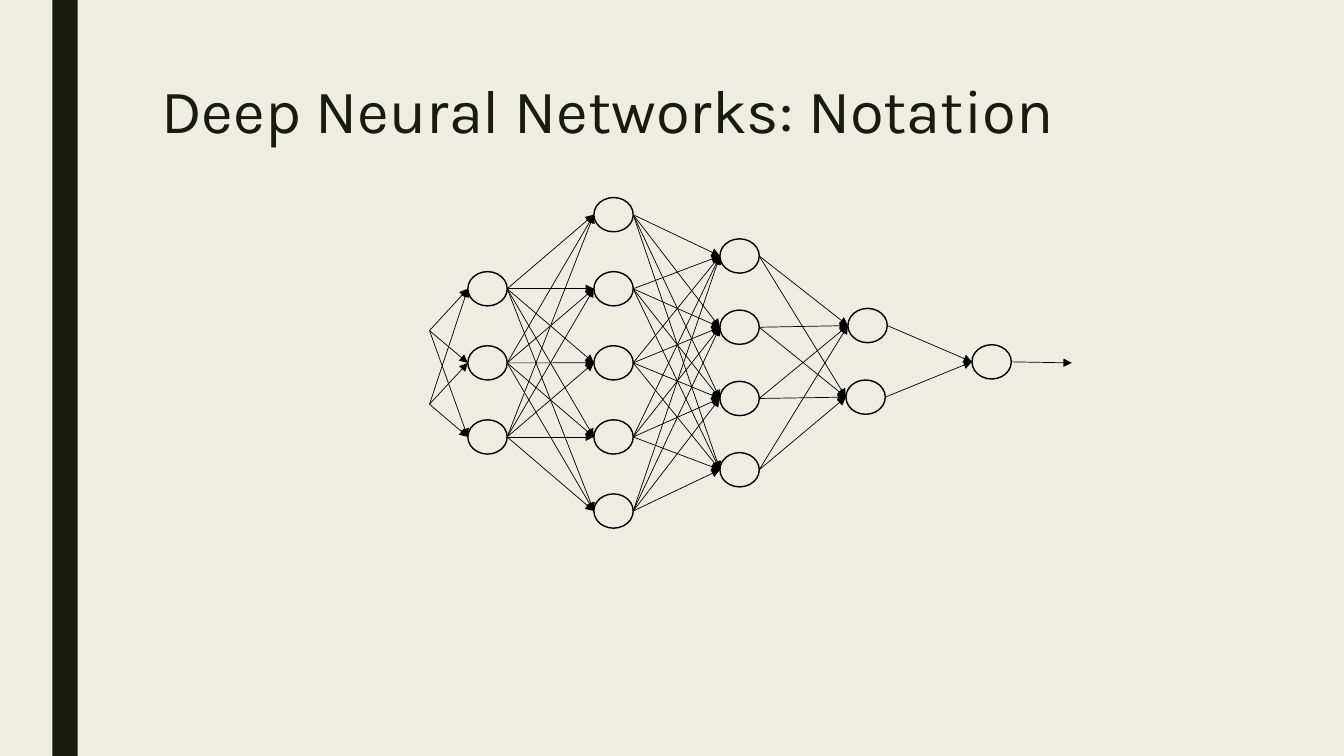
from itertools import pairwise, product

from lxml import etree
from pptx import Presentation
from pptx.dml.color import RGBColor
from pptx.enum.shapes import MSO_CONNECTOR, MSO_SHAPE
from pptx.enum.text import MSO_ANCHOR, MSO_AUTO_SIZE, PP_ALIGN
from pptx.oxml.ns import qn
from pptx.util import Inches, Pt

RECT, OVAL = MSO_SHAPE.RECTANGLE, MSO_SHAPE.OVAL
STRAIGHT = MSO_CONNECTOR.STRAIGHT
TOP, NO_FIT, LEFT = MSO_ANCHOR.TOP, MSO_AUTO_SIZE.NONE, PP_ALIGN.LEFT

CREAM = RGBColor(0xEF, 0xED, 0xE3)
DARK = RGBColor(0x19, 0x1B, 0x0E)
BLACK = RGBColor(0, 0, 0)

NODE_W, NODE_H = 0.39, 0.34
MIDDLE = 3.6
INPUTS = [(4.26, 3.28), (4.26, 4.01)]
OUTPUT = (10.63, 3.6)


def set_all(target, values):
    """Set each named attribute on the target."""
    for name, value in values.items():
        setattr(target, name, value)


def column(left, count, pitch):
    """Return left-middle points of a layer centred on the middle line."""
    first = MIDDLE - (count - 1) * pitch / 2
    return [(left, first + i * pitch) for i in range(count)]


def add_title(s, text):
    """Place and format the title placeholder."""
    sp = s.shapes.title
    box = {"left": 1.5, "top": 0.75, "width": 10.5, "height": 1.62}
    set_all(sp, {name: Inches(v) for name, v in box.items()})
    tf = sp.text_frame
    set_all(tf, {"word_wrap": True, "auto_size": NO_FIT, "vertical_anchor": TOP})
    p = tf.paragraphs[0]
    set_all(p, {"alignment": LEFT, "line_spacing": 0.89})
    r = p.add_run()
    r.text = text
    set_all(r.font, {"name": "Karla", "size": Pt(44), "bold": False})
    r.font.color.rgb = DARK


def add_bar(s):
    """Add the dark vertical bar at the left edge."""
    sp = s.shapes.add_shape(RECT, Inches(0.52), 0, Inches(0.25), Inches(7.5))
    sp.shadow.inherit = False
    sp.fill.solid()
    sp.fill.fore_color.rgb = DARK
    sp.line.fill.background()


def add_node(s, x, y):
    """Add a neuron whose left side has its middle at x, y."""
    sp = s.shapes.add_shape(OVAL, Inches(x), Inches(y - NODE_H / 2),
                            Inches(NODE_W), Inches(NODE_H))
    sp.shadow.inherit = False
    sp.fill.background()
    sp.line.color.rgb = BLACK
    sp.line.width = Pt(1)


def add_arrow(s, start, end):
    """Add a thin arrow from start to end."""
    points = [Inches(v) for v in (*start, *end)]
    c = s.shapes.add_connector(STRAIGHT, *points)
    c.line.color.rgb = BLACK
    c.line.width = Pt(0.5)
    etree.SubElement(c.line._get_or_add_ln(), qn("a:tailEnd"), type="triangle")
    etree.SubElement(c._element.spPr, qn("a:effectLst"))


def link(s, starts, ends):
    """Join every start point to every end point."""
    for start, end in product(starts, ends):
        add_arrow(s, start, end)


def right_sides(layer):
    """Return the right-middle points of the nodes in a layer."""
    return [(x + NODE_W, y) for x, y in layer]


def main():
    """Build the slide and save it."""
    prs = Presentation()
    prs.slide_width, prs.slide_height = Inches(13.33), Inches(7.5)
    s = prs.slides.add_slide(prs.slide_layouts[5])
    s.background.fill.solid()
    s.background.fill.fore_color.rgb = CREAM
    add_bar(s)
    add_title(s, "Deep Neural Networks: Notation")

    layers = [
        column(4.64, 3, 0.735),
        column(5.89, 5, 0.735),
        column(7.14, 4, 0.707),
        [(8.41, 3.23), (8.39, 3.94)],
        [(9.64, 3.59)],
    ]
    for layer in layers:
        for x, y in layer:
            add_node(s, x, y)
    link(s, INPUTS, layers[0])
    for layer, following in pairwise(layers):
        link(s, right_sides(layer), following)
    link(s, right_sides(layers[-1]), [OUTPUT])
    prs.save("out.pptx")


if __name__ == "__main__":
    main()
